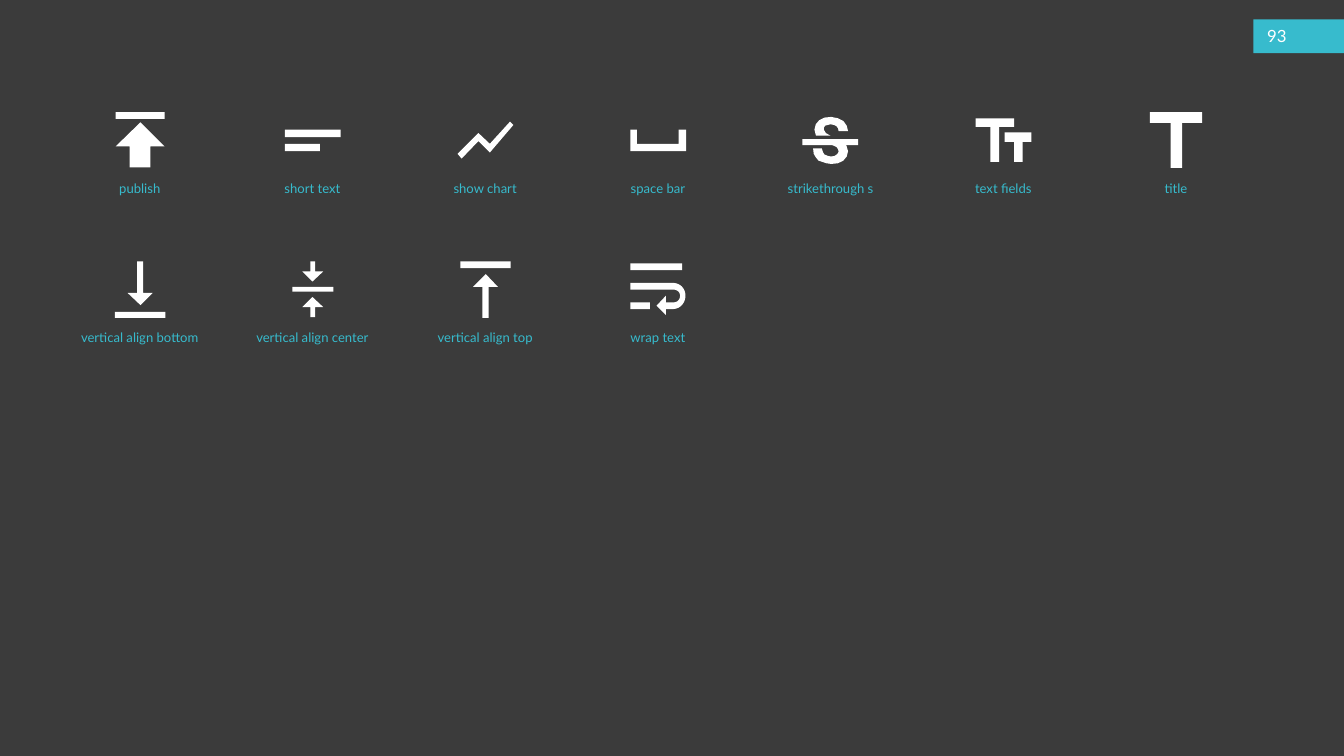
from pptx import Presentation
from pptx.dml.color import RGBColor
from pptx.enum.shapes import MSO_SHAPE
from pptx.enum.text import MSO_ANCHOR, MSO_AUTO_SIZE, PP_ALIGN
from pptx.util import Pt

PX = 9144  # EMU in one px, 100 px to the inch
FONT = "Lato"
DARK, TEAL, WHITE = "3B3B3B", "37BBCD", "FFFFFF"


def emu(*vals):
    return [round(v * PX) for v in vals]


def paint(fill, color):
    fill.solid()
    fill.fore_color.rgb = RGBColor.from_string(color)


def box(x1, y1, x2, y2):
    return [(x1, y1), (x2, y1), (x2, y2), (x1, y2)]


def curve(p0, p1, p2, p3, steps=10):
    """Points along a cubic curve, both ends included."""
    pts = []
    for i in range(steps + 1):
        t = i / steps
        u = 1 - t
        pts.append(tuple(u**3 * a + 3 * u * u * t * b + 3 * u * t * t * c + t**3 * d
                         for a, b, c, d in zip(p0, p1, p2, p3)))
    return pts


class Deck:
    def __init__(self, width, height):
        self.prs = Presentation()
        self.prs.slide_width, self.prs.slide_height = emu(width, height)
        self.slide = self.prs.slides.add_slide(self.prs.slide_layouts[6])
        paint(self.slide.background.fill, DARK)
        self.shapes = self.slide.shapes

    def finish(self, shape, color):
        paint(shape.fill, color)
        shape.line.fill.background()
        shape.shadow.inherit = False

    def rect(self, x, y, w, h, color):
        self.finish(self.shapes.add_shape(MSO_SHAPE.RECTANGLE, *emu(x, y, w, h)), color)

    def text(self, words, x, y, w, h, size, color, align=PP_ALIGN.LEFT,
             anchor=MSO_ANCHOR.TOP, fit=MSO_AUTO_SIZE.NONE):
        frame = self.shapes.add_textbox(*emu(x, y, w, h)).text_frame
        frame.word_wrap = True
        frame.auto_size = fit
        frame.vertical_anchor = anchor
        par = frame.paragraphs[0]
        par.text = words
        par.alignment = align
        par.font.name = FONT
        par.font.size = Pt(size)
        par.font.color.rgb = RGBColor.from_string(color)

    def icon(self, parts, cx, cy):
        """One shape made of closed outlines, given around its centre."""
        outs = [[emu(cx + x, cy + y) for x, y in part] for part in parts]
        pen = self.shapes.build_freeform(*outs[0][0])
        for i, out in enumerate(outs):
            if i:
                pen.move_to(*out[0])
            pen.add_line_segments(out[1:], close=True)
        self.finish(pen.convert_to_shape(), WHITE)


# Icon outlines, in px from the centre of the cell
PUBLISH = [box(-36, -41, 37, -31),
           [(-36, 10), (-15, 10), (-15, 41), (16, 41), (16, 10), (37, 10), (1, -26)]]
SHORT = [box(-41, -15, 42, -4), box(-41, 6, 11, 17)]
CHART = [[(-35, 28), (-10, 2), (7, 19), (42, -22), (37, -27), (7, 6), (-10, -10), (-41, 21)]]
SPACE = [[(31, -15), (31, 6), (-31, 6), (-31, -15),
          (-41, -15), (-41, 17), (42, 17), (42, -15)]]
STRIKE = [
    # upper half of the S
    [(-22, -7), (-24, -15), (-22, -23), (-17, -29), (-9, -33), (1, -34), (11, -32),
     (19, -28), (24, -21), (26, -13), (12, -13), (11, -17), (9, -20), (5, -22), (0, -23),
     (-4, -22), (-8, -21), (-10, -18), (-10, -15), (-7, -10), (0, -6), (-22, -6)],
    # bar and lower half
    [(41, 8), (41, -1), (-42, -1), (-42, 8), (2, 8), (5, 9), (9, 11), (11, 14), (12, 17),
     (11, 20), (9, 22), (6, 24), (1, 25), (-4, 24), (-9, 22), (-11, 19), (-13, 13),
     (-26, 13), (-25, 21), (-22, 26), (-18, 31), (-12, 33), (-6, 35), (1, 36), (11, 35),
     (19, 31), (24, 25), (26, 17), (24, 10), (23, 8)],
]
FIELDS = [[(-41, -32), (-41, -19), (-19, -19), (-19, 33),
           (-6, 33), (-6, -19), (16, -19), (16, -32)],
          [(42, -11), (2, -11), (2, 3), (16, 3), (16, 33), (29, 33), (29, 3), (42, 3)]]
TITLE = [[(-39, -41), (-39, -25), (-8, -25), (-8, 42), (9, 42), (9, -25), (39, -25), (39, -41)]]
BOTTOM = [[(19, 6), (5, 6), (5, -41), (-4, -41), (-4, 6), (-18, 6), (1, 24)],
          box(-37, 34, 38, 43)]
CENTER = [[(-15, 27), (-3, 27), (-3, 42), (4, 42), (4, 27), (16, 27), (0, 12)],
          [(16, -26), (4, -26), (4, -41), (-3, -41), (-3, -26), (-15, -26), (0, -11)],
          box(-30, -3, 31, 4)]
TOP = [[(-18, -3), (-4, -3), (-4, 43), (5, 43), (5, -3), (19, -3), (1, -22)],
       box(-37, -41, 38, -31)]
WRAP = [box(-41, 20, -12, 30), box(-41, -38, 36, -28),
        [(-41, -9), (-41, 1),
         *curve((23, 1), (29, 1), (33, 5), (33, 10)),
         *curve((33, 10), (33, 16), (29, 20), (23, 20)),
         (12, 20), (12, 10), (-2, 25), (12, 39), (12, 30),
         *curve((22, 30), (33, 30), (41, 21), (41, 10)),
         *curve((41, 10), (41, -1), (33, -9), (22, -9))]]

ROWS = [
    [("publish", PUBLISH), ("short text", SHORT), ("show chart", CHART),
     ("space bar", SPACE), ("strikethrough s", STRIKE), ("text fields", FIELDS),
     ("title", TITLE)],
    [("vertical align bottom", BOTTOM), ("vertical align center", CENTER),
     ("vertical align top", TOP), ("wrap text", WRAP)],
]


def main():
    deck = Deck(2000, 1125)

    # Page number tab
    deck.rect(1865, 29, 135, 50, TEAL)
    deck.text("93", 1876, 28, 67, 50, 18, WHITE, anchor=MSO_ANCHOR.MIDDLE)

    # Icon grid with labels
    for r, row in enumerate(ROWS):
        for c, (name, parts) in enumerate(row):
            cx, cy = 208 + 257 * c, 208 + 222 * r
            deck.icon(parts, cx, cy)
            deck.text(name, cx - 139, cy + 56, 278, 34, 14, TEAL,
                      align=PP_ALIGN.CENTER, fit=MSO_AUTO_SIZE.SHAPE_TO_FIT_TEXT)

    deck.prs.save("out.pptx")


if __name__ == "__main__":
    main()
